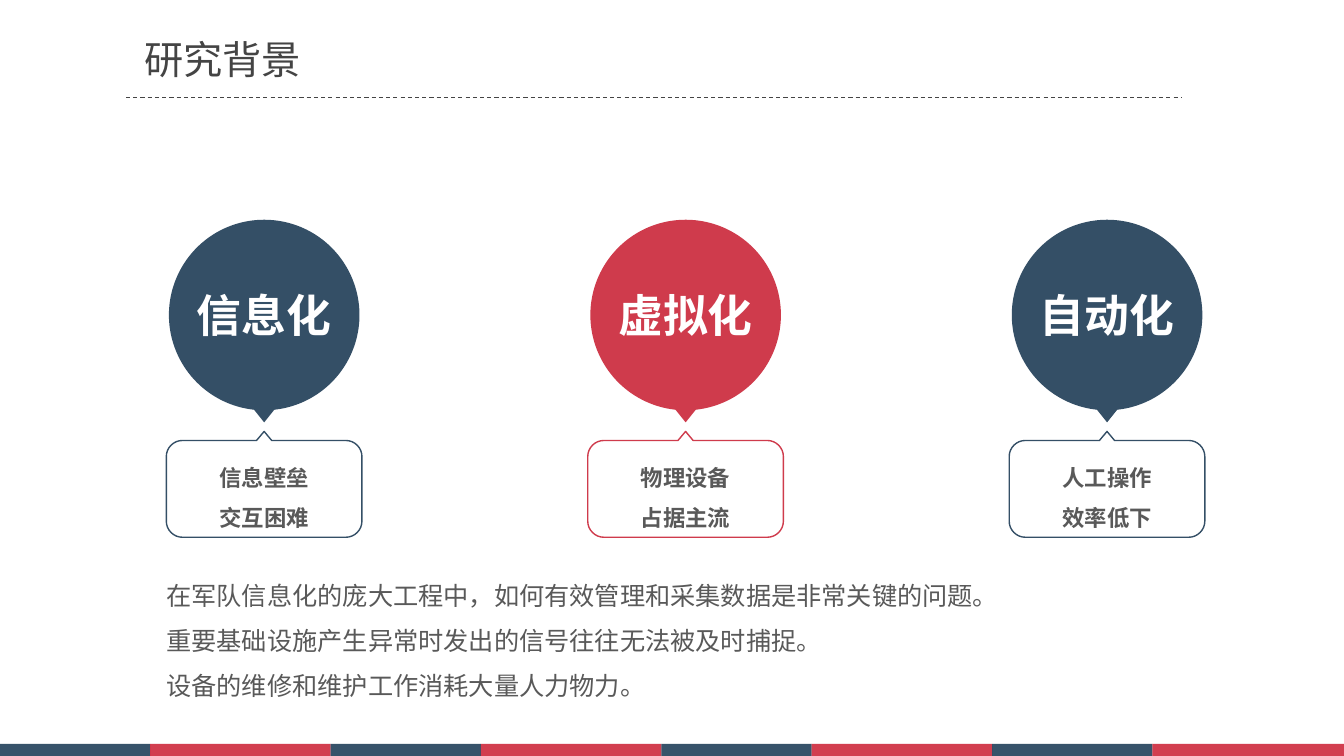
from itertools import pairwise
from math import cos, pi, sin

from lxml.etree import SubElement
from pptx import Presentation
from pptx.dml.color import RGBColor
from pptx.enum.dml import MSO_LINE
from pptx.enum.shapes import MSO_CONNECTOR, MSO_SHAPE
from pptx.enum.text import MSO_ANCHOR, MSO_AUTO_SIZE, PP_ALIGN
from pptx.oxml.ns import qn
from pptx.util import Inches, Pt

FONT = "Noto Sans CJK SC"
COLORS = {
    "navy": "344F66", "red": "CF3B4C", "band_navy": "062845",
    "band_red": "C70E23", "heading": "444444", "body": "595959",
    "white": "FFFFFF",
}
FRAME = {
    "margin_left": 0, "margin_top": 0, "margin_right": 0, "margin_bottom": 0,
    "word_wrap": True, "auto_size": MSO_AUTO_SIZE.NONE,
}
STYLES = {
    "title": {
        "color": "heading", "font": {"size": Pt(28), "bold": False},
        "paragraph": {"alignment": PP_ALIGN.LEFT},
        "anchor": MSO_ANCHOR.MIDDLE,
    },
    "theme": {
        "color": "white", "font": {"size": Pt(32), "bold": True},
        "paragraph": {"alignment": PP_ALIGN.CENTER},
        "anchor": MSO_ANCHOR.MIDDLE,
    },
    "problem": {
        "color": "body", "font": {"size": Pt(16), "bold": True},
        "paragraph": {"alignment": PP_ALIGN.CENTER, "line_spacing": Pt(28.6)},
        "anchor": MSO_ANCHOR.TOP,
    },
    "summary": {
        "color": "body", "font": {"size": Pt(18), "bold": False},
        "paragraph": {"alignment": PP_ALIGN.JUSTIFY, "line_spacing": Pt(32.1)},
        "anchor": MSO_ANCHOR.TOP,
    },
}
THEMES = [
    ("信息化", ["信息壁垒", "交互困难"], "navy"),
    ("虚拟化", ["物理设备", "占据主流"], "red"),
    ("自动化", ["人工操作", "效率低下"], "navy"),
]
SUMMARY = [
    "在军队信息化的庞大工程中，如何有效管理和采集数据是非常关键的问题。",
    "重要基础设施产生异常时发出的信号往往无法被及时捕捉。",
    "设备的维修和维护工作消耗大量人力物力。",
]
BAND_EDGES = [0, 1.49, 3.28, 4.77, 6.56, 8.05, 9.84, 11.43, 13.33]


def rgb(color):
    return RGBColor.from_string(COLORS[color])


def apply_format(target, values):
    for name, value in values.items():
        setattr(target, name, value)


def write_lines(frame, lines, style_name):
    style = STYLES[style_name]
    apply_format(frame, FRAME | {"vertical_anchor": style["anchor"]})
    for index, line in enumerate(lines):
        paragraph = frame.add_paragraph() if index else frame.paragraphs[0]
        apply_format(paragraph, style["paragraph"])
        run = paragraph.add_run()
        run.text = line
        apply_format(run.font, style["font"] | {"name": FONT})
        run.font.color.rgb = rgb(style["color"])
        SubElement(run._r.get_or_add_rPr(), qn("a:ea"), typeface=FONT)


def add_text(slide, box, lines, style_name):
    textbox = slide.shapes.add_textbox(*map(Inches, box))
    write_lines(textbox.text_frame, lines, style_name)


def add_solid(slide, preset, box, color):
    solid = slide.shapes.add_shape(preset, *map(Inches, box))
    solid.shadow.inherit = False
    solid.fill.solid()
    solid.fill.fore_color.rgb = rgb(color)
    solid.line.fill.background()
    return solid


def add_heading(slide, left, top, width, text):
    title = slide.shapes.title
    apply_format(title, {
        "left": Inches(left + 0.18), "top": Inches(top),
        "width": Inches(3.99), "height": Inches(0.47),
    })
    write_lines(title.text_frame, [text], "title")
    y = Inches(top + 0.62)
    rule = slide.shapes.add_connector(
        MSO_CONNECTOR.STRAIGHT, Inches(left), y, Inches(left + width), y)
    rule.line.color.rgb = rgb("heading")
    apply_format(rule.line, {"width": Pt(0.75), "dash_style": MSO_LINE.DASH})
    SubElement(rule._element.spPr, qn("a:effectLst"))


def add_footer_band(slide, top, height):
    for index, (left, right) in enumerate(pairwise(BAND_EDGES)):
        color = "band_red" if index % 2 else "band_navy"
        stripe = add_solid(slide, MSO_SHAPE.RECTANGLE,
                           (left, top, right - left, height), color)
        tint = stripe._element.spPr.find(".//" + qn("a:srgbClr"))
        SubElement(tint, qn("a:alpha"), val="80000")


def add_callout(slide, left, top, width, height, color):
    radius, notch_width, notch_height, steps = 0.16, 0.075, 0.09, 8
    middle, edge = left + width / 2, top + notch_height
    right, bottom = left + width, top + height
    corners = [
        (right - radius, edge + radius, -pi / 2),
        (right - radius, bottom - radius, 0),
        (left + radius, bottom - radius, pi / 2),
        (left + radius, edge + radius, pi),
    ]
    outline = [(middle + notch_width, edge)]
    for x, y, start in corners:
        for step in range(steps + 1):
            angle = start + step * pi / 2 / steps
            outline.append((x + radius * cos(angle), y + radius * sin(angle)))
    outline.append((middle - notch_width, edge))
    builder = slide.shapes.build_freeform(Inches(middle), Inches(top))
    builder.add_line_segments([(Inches(x), Inches(y)) for x, y in outline])
    callout = builder.convert_to_shape()
    callout.shadow.inherit = False
    callout.fill.background()
    callout.line.color.rgb = rgb(color)
    callout.line.width = Pt(1)


def add_theme(slide, left, top, width, theme, problems, color):
    diameter, pointer_width = 1.89, 0.24
    middle = left + width / 2
    add_solid(slide, MSO_SHAPE.OVAL,
              (middle - diameter / 2, top, diameter, diameter), color)
    pointer = add_solid(
        slide, MSO_SHAPE.ISOSCELES_TRIANGLE,
        (middle - pointer_width / 2, top + 1.86, pointer_width, 0.15), color)
    pointer.rotation = 180
    add_text(slide, (left + 0.12, top + 0.67, width - 0.24, 0.54),
             [theme], "theme")
    add_callout(slide, left, top + 2.1, width, 1.05, color)
    add_text(slide, (left + 0.18, top + 2.29, width - 0.36, 0.8),
             problems, "problem")


def main():
    presentation = Presentation()
    presentation.slide_width = Inches(13.33)
    presentation.slide_height = Inches(7.5)
    slide = presentation.slides.add_slide(presentation.slide_layouts[5])
    add_footer_band(slide, 7.38, 0.12)
    add_heading(slide, 1.25, 0.35, 10.47, "研究背景")
    for index, (theme, problems, color) in enumerate(THEMES):
        add_theme(slide, 1.65 + 4.18 * index, 2.18, 1.94,
                  theme, problems, color)
    add_text(slide, (1.65, 5.61, 10.65, 1.34), SUMMARY, "summary")
    presentation.save("out.pptx")


if __name__ == "__main__":
    main()
